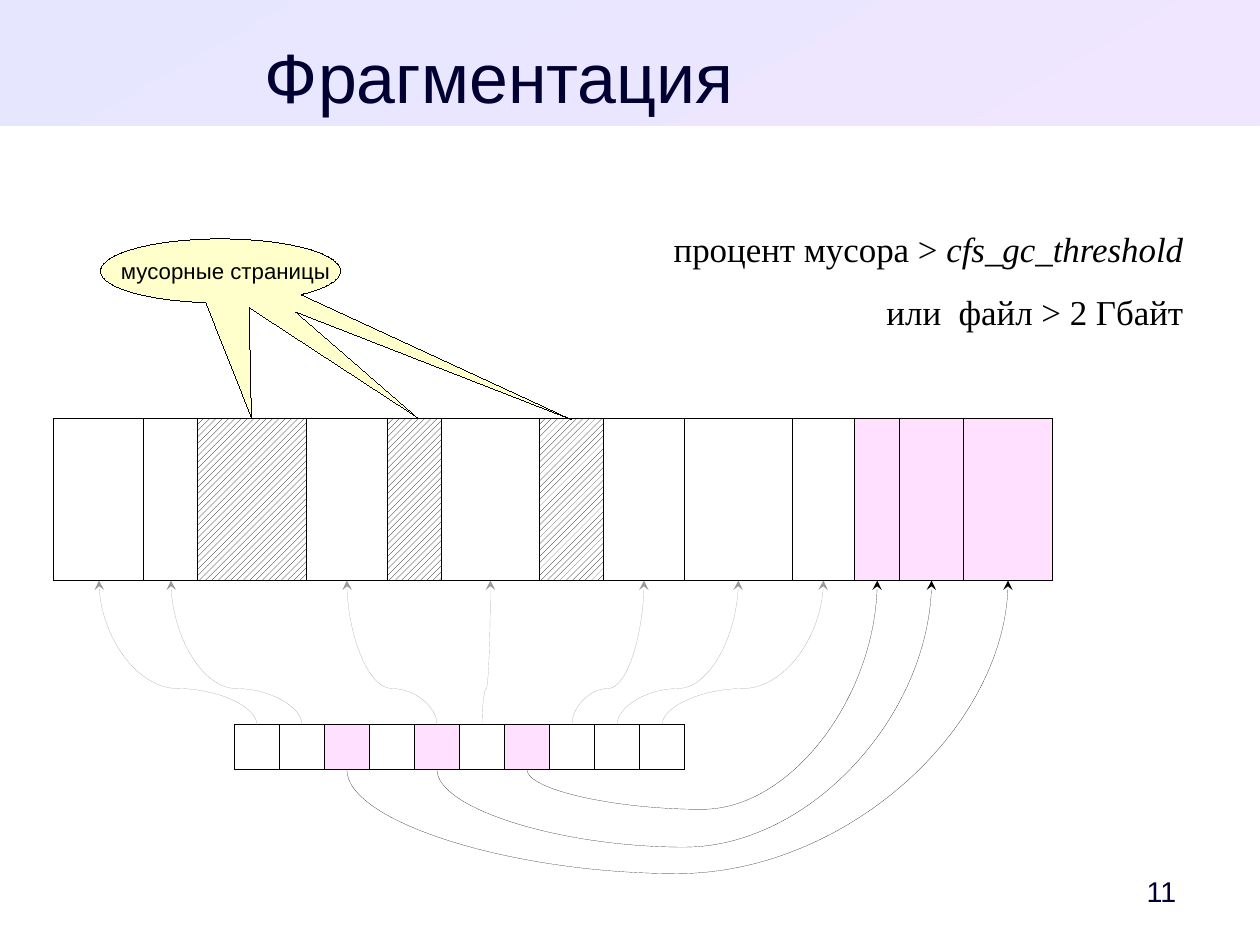
import math

from lxml import etree
from pptx import Presentation
from pptx.dml.color import RGBColor
from pptx.enum.dml import MSO_PATTERN
from pptx.enum.shapes import MSO_CONNECTOR, MSO_SHAPE
from pptx.enum.text import MSO_ANCHOR, PP_ALIGN
from pptx.oxml.ns import qn
from pptx.util import Inches, Pt

RECT = MSO_SHAPE.RECTANGLE
CURVE = MSO_CONNECTOR.CURVE
HATCH = MSO_PATTERN.WIDE_UPWARD_DIAGONAL
LEFT, CENTER, RIGHT = PP_ALIGN.LEFT, PP_ALIGN.CENTER, PP_ALIGN.RIGHT
TOP, MIDDLE = MSO_ANCHOR.TOP, MSO_ANCHOR.MIDDLE

CM_PER_INCH = 2.54
COLORS = {
    "navy": "000033", "black": "000000", "white": "FFFFFF", "gray": "999999",
    "pink": "FFE1FF", "yellow": "FFFFCC", "blue_tint": "E6E6FF", "violet_tint": "F0E6FF",
}

PAGE_EDGES = [0.47, 1.26, 1.73, 2.68, 3.39, 3.86, 4.72, 5.28,
              5.99, 6.93, 7.48, 7.87, 8.43, 9.21]
GARBAGE_PAGES = {2, 4, 6}
NEW_PAGES = {10, 11, 12}
PAGE_TOP, PAGE_HEIGHT = 3.66, 1.42

MAP_LEFT, MAP_TOP, MAP_WIDTH, MAP_COUNT = 2.05, 6.34, 3.94, 10
CELL = MAP_WIDTH / MAP_COUNT
OLD_LINKS = [(0, 0), (1, 1), (4, 3), (5, 5), (7, 7), (8, 8), (9, 9)]
NEW_LINKS = [(2, 12, -0.55), (4, 11, -0.41), (6, 10, -0.21)]

BUBBLE_CENTER, BUBBLE_RADII = (1.93, 2.37), (1.05, 0.28)
BUBBLE_TAILS = [(2.2, 3.65), (2.18, 2.69), (3.65, 3.65), (2.59, 2.73), (5, 3.67), (2.64, 2.58)]


def rgb(name):
    return RGBColor.from_string(COLORS[name])


class SlideBuilder:
    """Draws styled elements on the current slide."""

    def __init__(self, slide):
        self.shapes = slide.shapes

    def hairline(self, s, color):
        s.line.color.rgb = rgb(color)
        ln = s._element.spPr.find(qn("a:ln"))
        ln.set("w", "0")
        return ln

    def band(self, x, y, w, h, start, end):
        s = self.shapes.add_shape(RECT, Inches(x), Inches(y), Inches(w), Inches(h))
        s.shadow.inherit = False
        s.line.fill.background()
        s.fill.gradient()
        s.fill.gradient_angle = 300
        for stop, color in zip(s.fill.gradient_stops, (start, end)):
            stop.color.rgb = rgb(color)

    def box(self, x, y, w, h, fill="white", hatched=False):
        s = self.shapes.add_shape(RECT, Inches(x), Inches(y), Inches(w), Inches(h))
        s.shadow.inherit = False
        self.hairline(s, "black")
        if hatched:
            s.fill.patterned()
            s.fill.pattern = HATCH
            s.fill.fore_color.rgb = rgb("black")
            s.fill.back_color.rgb = rgb(fill)
        else:
            s.fill.solid()
            s.fill.fore_color.rgb = rgb(fill)

    def text(self, x, y, w, h, lines, size, color="black", font="Arial", align=LEFT,
             anchor=TOP, insets=(0.1, 0.05, 0.1, 0.05), wrap=True, spacing=None):
        s = self.shapes.add_textbox(Inches(x), Inches(y), Inches(w), Inches(h))
        tf = s.text_frame
        tf.word_wrap = wrap
        tf.vertical_anchor = anchor
        tf.margin_left, tf.margin_top, tf.margin_right, tf.margin_bottom = map(Inches, insets)
        p = tf.paragraphs[0]
        p.alignment = align
        p.line_spacing = spacing
        p.font.size = Pt(size)
        p.font.name = font
        p.font.color.rgb = rgb(color)
        for i, line in enumerate(lines):
            if i:
                p.add_line_break()
            for content, italic in line:
                r = p.add_run()
                r.text = content
                if italic:
                    r.font.italic = True

    def curve(self, x1, y1, x2, y2, bend, color):
        w, h = abs(y2 - y1), abs(x2 - x1)
        left, top = (x1 + x2 - w) / 2, (y1 + y2 - h) / 2
        ends, turn = (left, left + w), 270
        if x2 > x1:
            ends, turn = (left + w, left), 90
        c = self.shapes.add_connector(CURVE, Inches(ends[0]), Inches(top + h),
                                      Inches(ends[1]), Inches(top))
        ln = self.hairline(c, color)
        etree.SubElement(ln, qn("a:tailEnd"), type="stealth")
        pr = c._element.spPr
        pr.find(qn("a:xfrm")).set("rot", str(turn * 60000))
        guides = pr.find(qn("a:prstGeom")).find(qn("a:avLst"))
        etree.SubElement(guides, qn("a:gd"), name="adj1", fmla=f"val {round(bend * 100000)}")
        etree.SubElement(pr, qn("a:effectLst"))

    def bubble(self, center, radii, tails, fill):
        arc = [(center[0] + radii[0] * math.cos(math.radians(a)),
                center[1] + radii[1] * math.sin(math.radians(a)))
               for a in range(46, -264, -3)]
        points = [(Inches(x), Inches(y)) for x, y in arc + tails]
        builder = self.shapes.build_freeform(*points[0])
        builder.add_line_segments(points[1:], close=True)
        s = builder.convert_to_shape()
        s.shadow.inherit = False
        self.hairline(s, "black")
        s.fill.solid()
        s.fill.fore_color.rgb = rgb(fill)


def page_center(i):
    return (PAGE_EDGES[i] + PAGE_EDGES[i + 1]) / 2


def cell_center(i):
    return MAP_LEFT + (i + 0.5) * CELL


def main():
    prs = Presentation()
    prs.slide_width = Inches(28 / CM_PER_INCH)
    prs.slide_height = Inches(21 / CM_PER_INCH)
    d = SlideBuilder(prs.slides.add_slide(prs.slide_layouts[6]))

    d.band(0, 0, 11.02, 1.1, "blue_tint", "violet_tint")
    d.text(9.69, 7.56, 0.87, 0.47, [[("11", False)]], 18, "navy", align=RIGHT,
           anchor=MIDDLE, insets=(0.1, 0.05, 0.27, 0.05))
    d.text(0.47, 0.29, 7.8, 0.69, [[("Фрагментация", False)]], 44, "navy",
           align=CENTER, insets=(0, 0, 0, 0))

    for i, (left, right) in enumerate(zip(PAGE_EDGES, PAGE_EDGES[1:])):
        d.box(left, PAGE_TOP, right - left, PAGE_HEIGHT,
              "pink" if i in NEW_PAGES else "white", i in GARBAGE_PAGES)
    moved = {cell for cell, _, _ in NEW_LINKS}
    for i in range(MAP_COUNT):
        d.box(MAP_LEFT + i * CELL, MAP_TOP, CELL, CELL, "pink" if i in moved else "white")

    page_bottom = PAGE_TOP + PAGE_HEIGHT
    for cell, page in OLD_LINKS:
        d.curve(cell_center(cell), MAP_TOP, page_center(page), page_bottom, 0.25, "gray")
    for cell, page, bend in NEW_LINKS:
        d.curve(cell_center(cell), MAP_TOP + CELL, page_center(page), page_bottom,
                bend, "black")

    d.bubble(BUBBLE_CENTER, BUBBLE_RADII, BUBBLE_TAILS, "yellow")
    d.text(0.96, 2.2, 2.03, 0.32, [[("мусорные страницы", False)]], 14, wrap=False)
    d.text(5.3, 1.76, 5.15, 1.11,
           [[("процент мусора > ", False), ("cfs_gc_threshold", True)],
            [("или  файл > 2 Гбайт", False)]],
           22, font="Times New Roman", align=RIGHT, spacing=1.5)
    prs.save("out.pptx")


if __name__ == "__main__":
    main()
